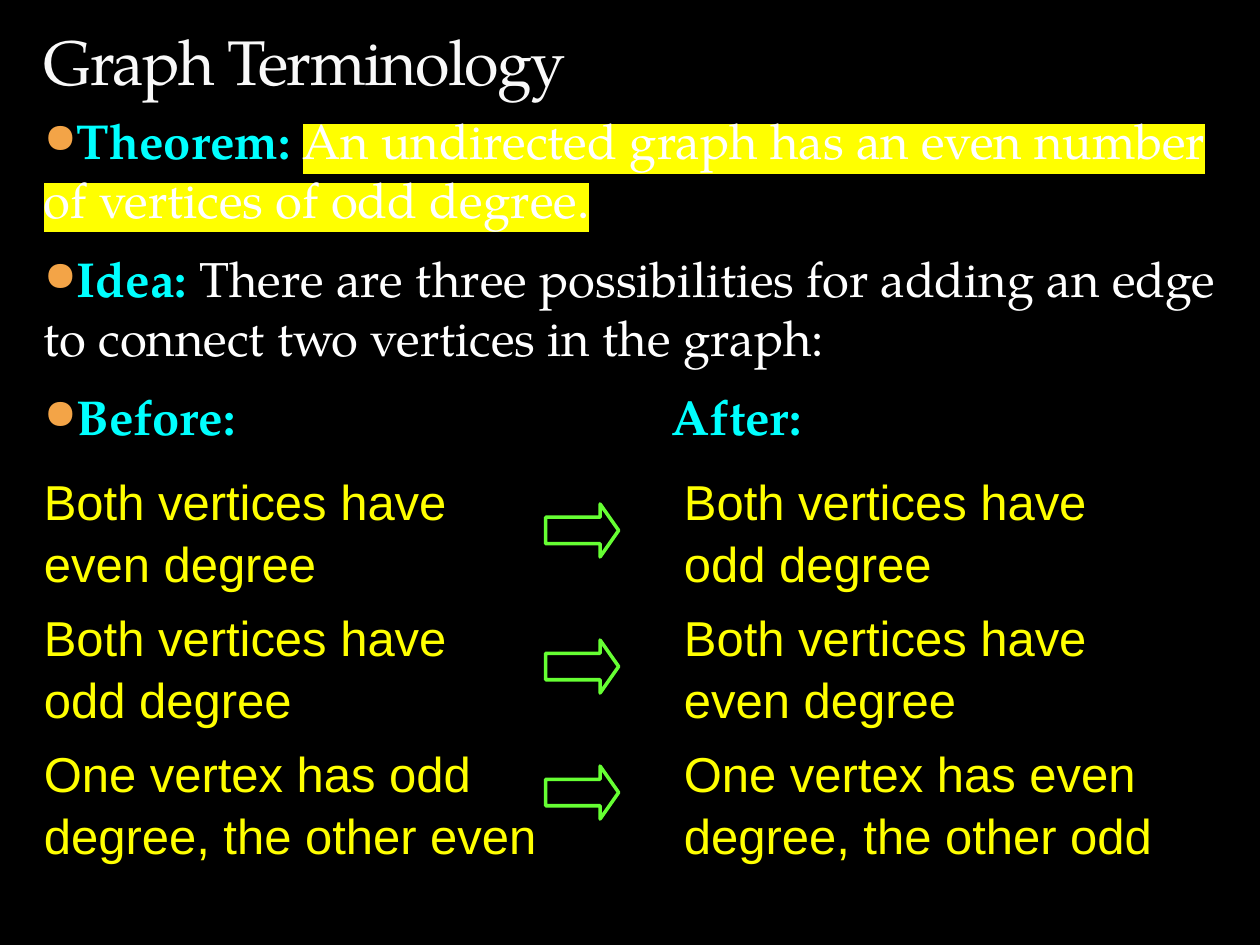
import pptx
import pptx.dml.color
import pptx.enum.shapes
import pptx.enum.text
import pptx.oxml
import pptx.oxml.ns
import pptx.util
from pptx.util import Inches

SERIF = "TeX Gyre Pagella"
SANS = "Arial"
WHITE = "FFFFFF"
CYAN = "00FFFF"
YELLOW = "FFFF00"
NAMESPACE = pptx.oxml.ns.nsdecls("a")


def color(value):
    return pptx.dml.color.RGBColor.from_string(value)


class SlideBuilder:
    text_size = 28
    space_after = 5.6

    def __init__(self, presentation):
        self.slide = presentation.slides.add_slide(presentation.slide_layouts[6])
        self.slide.background.fill.solid()
        self.slide.background.fill.fore_color.rgb = color("000000")

    def text_frame(self, shapes, left, top, width, height):
        shape = shapes.add_textbox(Inches(left), Inches(top), Inches(width), Inches(height))
        shape.text_frame.word_wrap = True
        return shape.text_frame

    def run(self, paragraph, text, value, font=SERIF, size=text_size, bold=False, highlight=None):
        run = paragraph.add_run()
        run.text = text
        run.font.name = font
        run.font.size = pptx.util.Pt(size)
        run.font.bold = bold
        run.font.color.rgb = color(value)
        if highlight:
            fill = run.font._element.find(pptx.oxml.ns.qn("a:solidFill"))
            fill.addnext(pptx.oxml.parse_xml(
                f'<a:highlight {NAMESPACE}><a:srgbClr val="{highlight}"/></a:highlight>'))
        return run

    def title(self, text):
        frame = self.text_frame(self.slide.shapes, 0.25, 0, 9.42, 0.83)
        frame.vertical_anchor = pptx.enum.text.MSO_ANCHOR.BOTTOM
        run = self.run(frame.paragraphs[0], text, "F9F9F9", size=36)
        run.font._element.set("spc", "-100")

    def bullet(self, paragraph, tab):
        paragraph.space_before = pptx.util.Pt(6)
        paragraph.space_after = pptx.util.Pt(self.space_after)
        properties = paragraph._p.get_or_add_pPr()
        properties.set("marL", "0")
        properties.set("indent", "0")
        for element in (
            f'<a:buClr {NAMESPACE}><a:srgbClr val="F3A447"/></a:buClr>',
            f'<a:buSzPct {NAMESPACE} val="85000"/>',
            f'<a:buChar {NAMESPACE} char="●"/>',
            f'<a:tabLst {NAMESPACE}><a:tab pos="{Inches(tab)}" algn="l"/></a:tabLst>',
        ):
            properties.append(pptx.oxml.parse_xml(element))

    def body(self, items, tab):
        frame = self.text_frame(self.slide.shapes, 0.25, 0.83, 9.58, 3.17)
        for index, (label, text, highlight) in enumerate(items):
            paragraph = frame.add_paragraph() if index else frame.paragraphs[0]
            self.bullet(paragraph, tab)
            self.run(paragraph, label, CYAN, bold=True)
            if text:
                self.run(paragraph, " ", WHITE)
                self.run(paragraph, text, WHITE, highlight=highlight)

    def case(self, shapes, left, top, lines):
        paragraph = self.text_frame(shapes, left, top, 4.67, 1.08).paragraphs[0]
        paragraph.line_spacing = 1.05
        paragraph.space_before = paragraph.space_after = pptx.util.Pt(self.space_after)
        for index, line in enumerate(lines):
            if index:
                paragraph.add_line_break()
            self.run(paragraph, line, YELLOW, font=SANS)

    def arrow(self, shapes, top):
        shape = shapes.add_shape(pptx.enum.shapes.MSO_SHAPE.RIGHT_ARROW,
                                 Inches(4.33), Inches(top), Inches(0.58), Inches(0.42))
        shape.adjustments[0] = 0.5
        shape.adjustments[1] = 0.35
        shape.shadow.inherit = False
        shape.fill.background()
        shape.line.color.rgb = color("66FF33")
        shape.line.width = pptx.util.Pt(2)

    def transition(self, top, arrow_top, before, after):
        self.case(self.slide.shapes, 0.25, top, before)
        group = self.slide.shapes.add_group_shape()
        self.case(group.shapes, 5.33, top, after)
        self.arrow(group.shapes, arrow_top)


def main():
    presentation = pptx.Presentation()
    presentation.slide_width = Inches(10)
    presentation.slide_height = Inches(7.5)
    builder = SlideBuilder(presentation)
    builder.body([
        ("Theorem:", "An undirected graph has an even number of vertices of odd degree.", YELLOW),
        ("Idea:", "There are three possibilities for adding an edge "
                  "to connect two vertices in the graph:", None),
        ("Before:\tAfter:", None, None),
    ], tab=4.98)
    builder.title("Graph Terminology")

    both_even = ["Both vertices have", "even degree"]
    both_odd = ["Both vertices have", "odd degree"]
    cases = [
        (4, both_even, both_odd),
        (5.08, both_odd, both_even),
        (6.08, ["One vertex has odd degree, the other even"],
               ["One vertex has even degree, the other odd"]),
    ]
    for row, (arrow_top, before, after) in enumerate(cases):
        builder.transition(3.67 + 1.08 * row, arrow_top, before, after)
    presentation.save("out.pptx")


if __name__ == "__main__":
    main()
